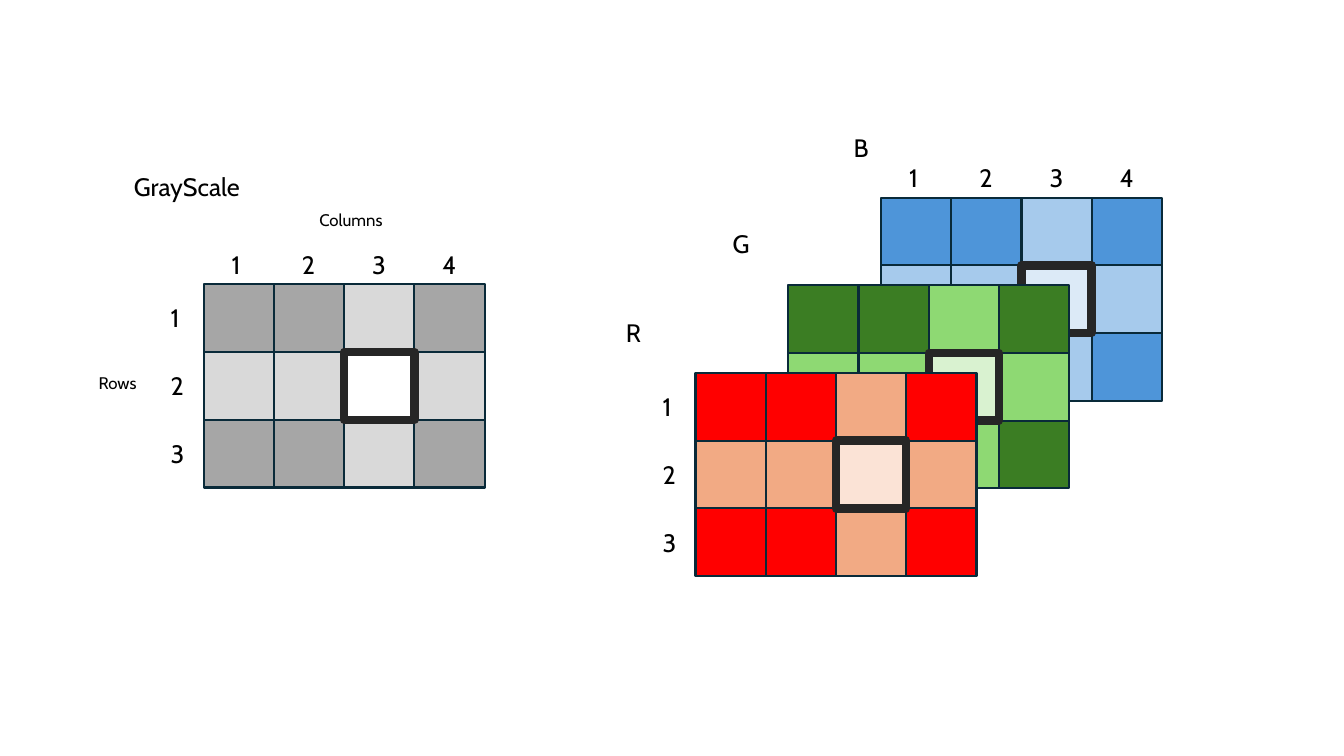
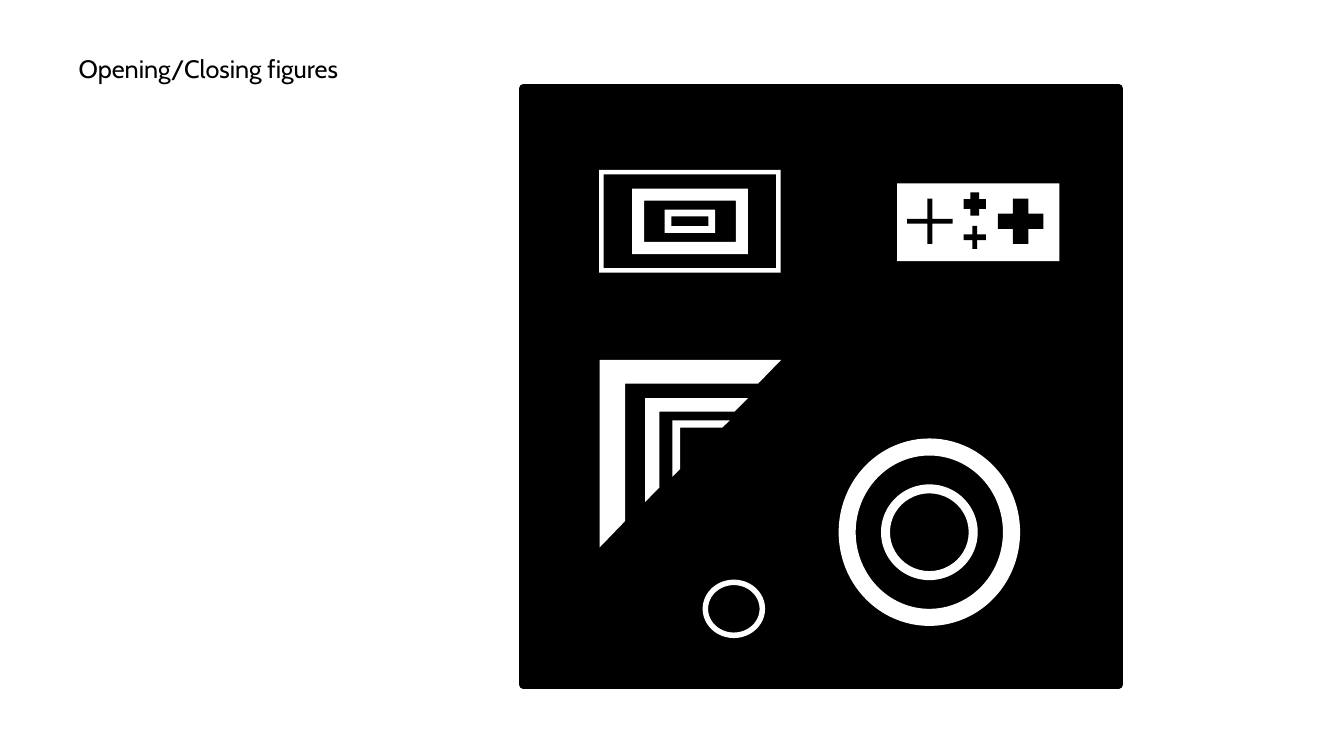
"""Build two slides: pixel planes of an image, and figures for opening and closing."""
from dataclasses import dataclass
from itertools import product

from pptx import Presentation
from pptx.dml.color import RGBColor as Rgb
from pptx.enum.shapes import MSO_SHAPE as Kind
from pptx.enum.text import MSO_ANCHOR as Anchor, MSO_AUTO_SIZE as Fit, PP_ALIGN as Align
from pptx.util import Inches, Pt


@dataclass(frozen=True)
class Theme:
    """Colours, type and line sizes, and the grid."""
    font: str = "Cabin"
    body: int = 18
    small: int = 12
    thin: float = 1.5
    thick: float = 6
    black: str = "000000"
    white: str = "FFFFFF"
    edge: str = "092A39"
    mark: str = "262626"
    gray: tuple = ("A6A6A6", "D9D9D9", "FFFFFF")
    blue: tuple = ("4E95D9", "A6CAEC", "DCEAF7")
    green: tuple = ("3B7D23", "8ED973", "D9F2D0")
    red: tuple = ("FF0000", "F2AA84", "FBE3D6")
    unit: float = 0.1
    cols: float = 133.33
    rows: float = 75


def apply(item, form):
    """Set each attribute of item from a dict."""
    for name, value in form.items():
        setattr(item, name, value)


class Deck:
    """Hold the style and the current slide; lengths are grid columns and rows."""

    def __init__(self, theme):
        """Start an empty deck of the theme's size."""
        self.theme = theme
        self.file = Presentation()
        apply(self.file, {"slide_width": self.size(theme.cols),
                          "slide_height": self.size(theme.rows)})

    def size(self, count):
        """Turn grid steps into a length."""
        return Inches(count * self.theme.unit)

    def add(self, title=None, box=None):
        """Add a slide, with a title if one is given."""
        layout = self.file.slide_layouts[5 if title else 6]
        self.slide = self.file.slides.add_slide(layout)
        if title:
            head = self.slide.shapes.title
            sides = ("left", "top", "width", "height")
            apply(head, dict(zip(sides, map(self.size, box))))
            self.style(head, title, self.theme.body)

    def style(self, shape, text, size):
        """Fill a shape with one styled line of text."""
        frame = shape.text_frame
        frame.text = text
        apply(frame, {"word_wrap": False, "auto_size": Fit.SHAPE_TO_FIT_TEXT,
                      "vertical_anchor": Anchor.TOP})
        line = frame.paragraphs[0]
        line.alignment = Align.LEFT
        font = line.runs[0].font
        apply(font, {"name": self.theme.font, "size": Pt(size)})
        font.color.rgb = Rgb.from_string(self.theme.black)

    def label(self, text, left, top, wide=3.4, size=None):
        """Add a short text label."""
        size = size or self.theme.body
        high = 4 if size == self.theme.body else 3
        box = self.slide.shapes.add_textbox(*map(self.size, (left, top, wide, high)))
        self.style(box, text, size)

    def shape(self, kind, mid, span, fill, line=None, turns=()):
        """Add a preset shape around its centre."""
        box = [m - s / 2 for m, s in zip(mid, span)] + list(span)
        item = self.slide.shapes.add_shape(kind, *map(self.size, box))
        item.shadow.inherit = False
        item.fill.solid()
        item.fill.fore_color.rgb = Rgb.from_string(fill)
        for spot, turn in enumerate(turns):
            item.adjustments[spot] = turn
        if line:
            tint, width = line
            item.line.color.rgb = Rgb.from_string(tint)
            item.line.width = Pt(width)
        else:
            item.line.fill.background()

    def plane(self, left, top, tints, heads=False, sides=False):
        """Draw a three by four pixel plane with its marked cell on top."""
        wide, high = 6.97, 6.72
        dark, light, glow = tints
        look = self.theme

        def cell(row, col, fill, line):
            """Draw one pixel."""
            mid = left + (col + 0.5) * wide, top + (row + 0.5) * high
            self.shape(Kind.RECTANGLE, mid, (wide, high), fill, line)

        for row, col in product(range(3), range(4)):
            if (row, col) != (1, 2):
                fill = light if row == 1 or col == 2 else dark
                cell(row, col, fill, (look.edge, look.thin))
        cell(1, 2, glow, (look.mark, look.thick))
        for col in range(4 if heads else 0):
            self.label(str(col + 1), left + 1.8 + col * wide, top - 4)
        for row in range(3 if sides else 0):
            self.label(str(row + 1), left - 4.25, top + 1.35 + row * high)


def planes(deck):
    """Draw the gray plane and the stack of colour planes."""
    look = deck.theme
    deck.add()
    deck.plane(20.2, 28.2, look.gray, heads=True, sides=True)
    deck.label("GrayScale", 12.3, 16.5, 13.1)
    deck.label("Columns", 30.7, 20.3, 8.7, look.small)
    deck.label("Rows", 8.8, 36.5, 6, look.small)
    stack = (("B", 83.7, 12.6, look.blue), ("G", 71.7, 22.2, look.green),
             ("R", 61.1, 31, look.red))
    for step, (name, left, top, tints) in enumerate(stack):
        deck.plane(87.4 - 9.2 * step, 19.6 + 8.7 * step, tints,
                   heads=name == "B", sides=name == "R")
        deck.label(name, left, top, 3.5)


def figures(deck):
    """Draw the white figures on the black square."""
    look = deck.theme
    deck.add("Opening/Closing figures", (6.8, 4.8, 28.1, 4))
    deck.shape(Kind.RECTANGLE, (81.45, 38.35), (59.1, 59.1), look.black,
               (look.black, look.thick))
    hub, ring = (68.45, 21.95), (92.2, 52.8)
    bend, thin = (0.131, 0.14), (0.094,)
    parts = (
        (Kind.FRAME, hub, (18, 10.2), (0.043,)),
        (Kind.FRAME, hub, (11.5, 6.5), (0.184,)),
        (Kind.FRAME, hub, (5, 2.3), (0.291,)),
        (Kind.HALF_FRAME, (68.5, 45), (18, 18.6), bend),
        (Kind.HALF_FRAME, (69.1, 44.65), (10.2, 10.3), bend),
        (Kind.HALF_FRAME, (69.55, 44.5), (5.7, 5.6), bend),
        (Kind.DONUT, ring, (18, 18.6), thin),
        (Kind.DONUT, ring, (9.6, 9.5), thin),
        (Kind.DONUT, (72.8, 60.4), (6.2, 5.8), thin),
        (Kind.RECTANGLE, (97.05, 22.05), (16.1, 7.7), ()),
    )
    for kind, mid, span, turns in parts:
        deck.shape(kind, mid, span, look.white, turns=turns)
    big, small = (4.5, 4.5), (2.2, 2.3)
    signs = (((92.25, 21.95), big, 0.446), ((101.25, 21.95), big, 0.331),
             ((96.7, 23.55), small, 0.395), ((96.7, 20.25), small, 0.299))
    for mid, span, turn in signs:
        deck.shape(Kind.CROSS, mid, span, look.black, turns=(turn,))


def main():
    """Build and save the deck."""
    deck = Deck(Theme())
    planes(deck)
    figures(deck)
    deck.file.save("out.pptx")


if __name__ == "__main__":
    main()
